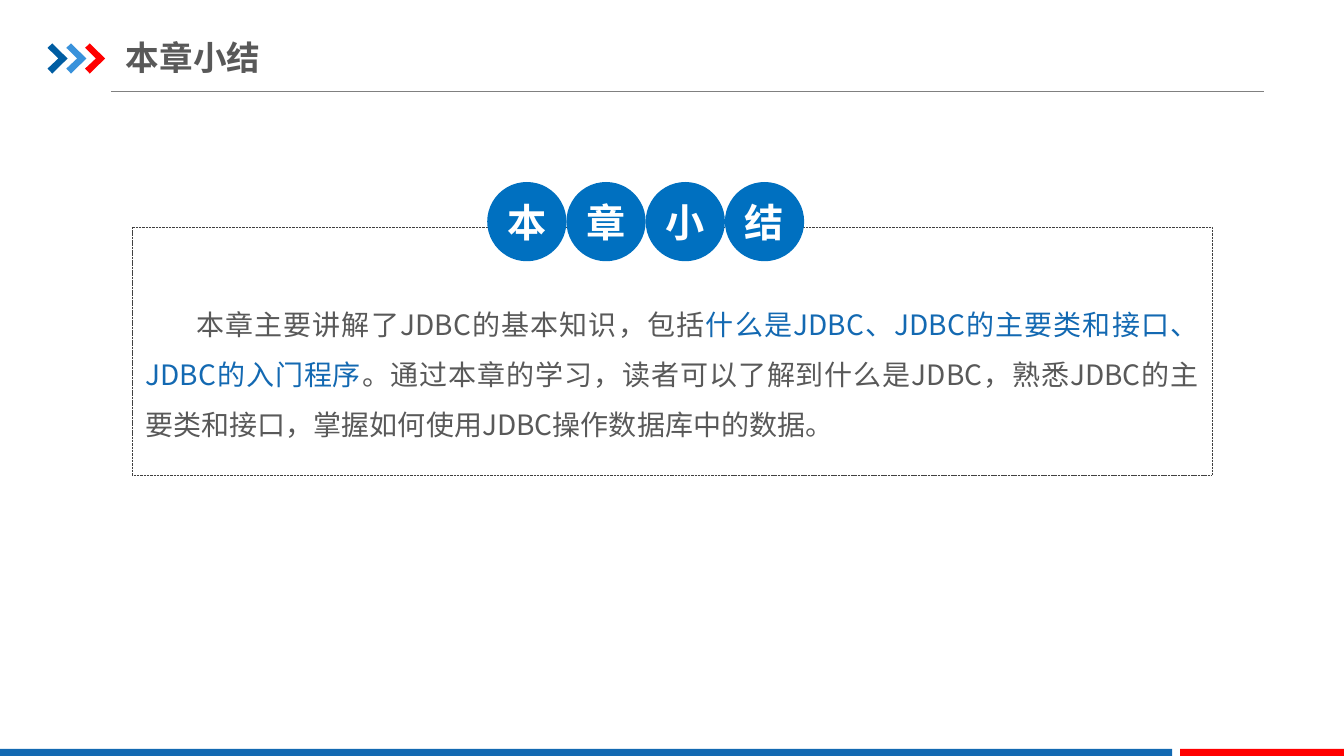
"""Builds the chapter summary slide about JDBC."""
from dataclasses import dataclass

from lxml import etree
from pptx import Presentation
from pptx.dml.color import RGBColor
from pptx.enum.dml import MSO_LINE
from pptx.enum.shapes import MSO_CONNECTOR, MSO_SHAPE
from pptx.enum.text import MSO_ANCHOR, MSO_AUTO_SIZE, PP_ALIGN
from pptx.oxml.ns import qn
from pptx.util import Pt

RECT, OVAL = MSO_SHAPE.RECTANGLE, MSO_SHAPE.OVAL
STRAIGHT = MSO_CONNECTOR.STRAIGHT
DASH = MSO_LINE.SQUARE_DOT
TOP, MIDDLE = MSO_ANCHOR.TOP, MSO_ANCHOR.MIDDLE
LEFT, CENTER, JUSTIFY = PP_ALIGN.LEFT, PP_ALIGN.CENTER, PP_ALIGN.JUSTIFY
NO_FIT, GROW = MSO_AUTO_SIZE.NONE, MSO_AUTO_SIZE.SHAPE_TO_FIT_TEXT

FONT = "Noto Sans CJK SC"
WHITE = RGBColor(0xFF, 0xFF, 0xFF)
RED = RGBColor(0xFF, 0x00, 0x00)
NAVY = RGBColor(0x00, 0x5D, 0xA2)
SKY = RGBColor(0x39, 0x92, 0xDB)
BLUE = RGBColor(0x13, 0x69, 0xB2)
BADGE_BLUE = RGBColor(0x00, 0x70, 0xC0)
TEXT_GRAY = RGBColor(0x59, 0x59, 0x59)
RULE_GRAY = RGBColor(0x80, 0x80, 0x80)
FRAME_GRAY = RGBColor(0x40, 0x40, 0x40)


@dataclass
class Box:
    """A rectangle in points."""
    x: float
    y: float
    w: float
    h: float

    def emu(self):
        """Returns the rectangle as lengths."""
        return Pt(self.x), Pt(self.y), Pt(self.w), Pt(self.h)


@dataclass
class Bar:
    """A coloured footer bar."""
    box: Box
    color: RGBColor


@dataclass
class Span:
    """A piece of text in one colour."""
    text: str
    color: RGBColor


CHEVRON = [(0, 3.2), (3.4, 0), (14.3, 10.8), (3.4, 21.6), (0, 18), (7.7, 10.8)]
CHEVRON_COLORS = [NAVY, SKY, RED]
CHEVRON_X, CHEVRON_Y, CHEVRON_STEP = 34, 31, 13.4
BARS = [Bar(Box(0, 535, 837.2, 6), BLUE), Bar(Box(843, 535, 117, 6), RED)]
TITLE = "本章小结"
TITLE_BOX = Box(90, 20.9, 446, 39.6)
BODY_BOX = Box(94.5, 202.3, 771.1, 118.8)
FRAME_BOX = Box(94.5, 162.2, 771.1, 177.3)
BADGE_X, BADGE_Y, BADGE_SIZE = 348, 130, 56.6
BODY = [
    Span("本章主要讲解了JDBC的基本知识，包括", TEXT_GRAY),
    Span("什么是JDBC、JDBC的主要类和接口、JDBC的入门程序", BLUE),
    Span("。通过本章的学习，读者可以了解到什么是JDBC，熟悉JDBC的主要类和接口，"
         "掌握如何使用JDBC操作数据库中的数据。", TEXT_GRAY),
]


def put_text(sp, spans: list[Span], *, size: float, bold: bool = False,
             align=LEFT, anchor=MIDDLE, fit=NO_FIT, inset_x: float = 0,
             inset_y: float = 5, indent: float = 0, spacing: float = 1) -> None:
    """Fills a shape with one formatted paragraph."""
    tf = sp.text_frame
    tf.word_wrap = True
    tf.auto_size = fit
    tf.vertical_anchor = anchor
    tf.margin_left = tf.margin_right = Pt(inset_x)
    tf.margin_top = tf.margin_bottom = Pt(inset_y)
    p = tf.paragraphs[0]
    p.alignment = align
    p.line_spacing = spacing
    if indent:
        pPr = p._p.get_or_add_pPr()
        pPr.set("marL", "0")
        pPr.set("indent", str(Pt(indent)))
    for span in spans:
        r = p.add_run()
        r.text = span.text
        r.font.size = Pt(size)
        r.font.bold = bold
        r.font.name = FONT
        r.font.color.rgb = span.color
        etree.SubElement(r.font._element, qn("a:ea")).set("typeface", FONT)


def paint(sp, color: RGBColor) -> None:
    """Gives a shape a plain fill without outline or shadow."""
    sp.shadow.inherit = False
    sp.fill.solid()
    sp.fill.fore_color.rgb = color
    sp.line.fill.background()


def add_filled(shapes, kind, box: Box, color: RGBColor):
    """Adds a plain filled preset shape."""
    sp = shapes.add_shape(kind, *box.emu())
    paint(sp, color)
    return sp


def add_chevron(shapes, x: float, y: float, color: RGBColor) -> None:
    """Adds one arrow-like chevron."""
    points = [(Pt(x + dx), Pt(y + dy)) for dx, dy in CHEVRON]
    builder = shapes.build_freeform(*points[0])
    builder.add_line_segments(points[1:], close=True)
    paint(builder.convert_to_shape(), color)


def add_rule(shapes, x1: float, x2: float, y: float) -> None:
    """Adds the thin line under the title."""
    line = shapes.add_connector(STRAIGHT, Pt(x1), Pt(y), Pt(x2), Pt(y))
    line.line.color.rgb = RULE_GRAY
    line.line.width = Pt(0.75)
    etree.SubElement(line._element.spPr, qn("a:effectLst"))


def add_frame(shapes, box: Box) -> None:
    """Adds the dashed frame around the summary."""
    sp = shapes.add_shape(RECT, *box.emu())
    sp.shadow.inherit = False
    sp.fill.background()
    sp.line.color.rgb = FRAME_GRAY
    sp.line.width = Pt(0.25)
    sp.line.dash_style = DASH


def main() -> None:
    """Builds and saves the slide."""
    prs = Presentation()
    prs.slide_width, prs.slide_height = Pt(960), Pt(540)
    shapes = prs.slides.add_slide(prs.slide_layouts[6]).shapes

    add_rule(shapes, 79.2, 903, 65.4)
    for i, color in enumerate(CHEVRON_COLORS):
        add_chevron(shapes, CHEVRON_X + i * CHEVRON_STEP, CHEVRON_Y, color)
    for bar in BARS:
        add_filled(shapes, RECT, bar.box, bar.color)

    title = shapes.add_textbox(*TITLE_BOX.emu())
    put_text(title, [Span(TITLE, TEXT_GRAY)], size=24, bold=True)
    body = shapes.add_textbox(*BODY_BOX.emu())
    put_text(body, BODY, size=20, align=JUSTIFY, anchor=TOP, fit=GROW,
             inset_x=9.5, indent=36, spacing=1.5)

    add_frame(shapes, FRAME_BOX)
    for i, char in enumerate(TITLE):
        box = Box(BADGE_X + i * BADGE_SIZE, BADGE_Y, BADGE_SIZE, BADGE_SIZE)
        badge = add_filled(shapes, OVAL, box, BADGE_BLUE)
        put_text(badge, [Span(char, WHITE)], size=28, bold=True,
                 align=CENTER, inset_y=0)
    prs.save("out.pptx")


if __name__ == "__main__":
    main()
